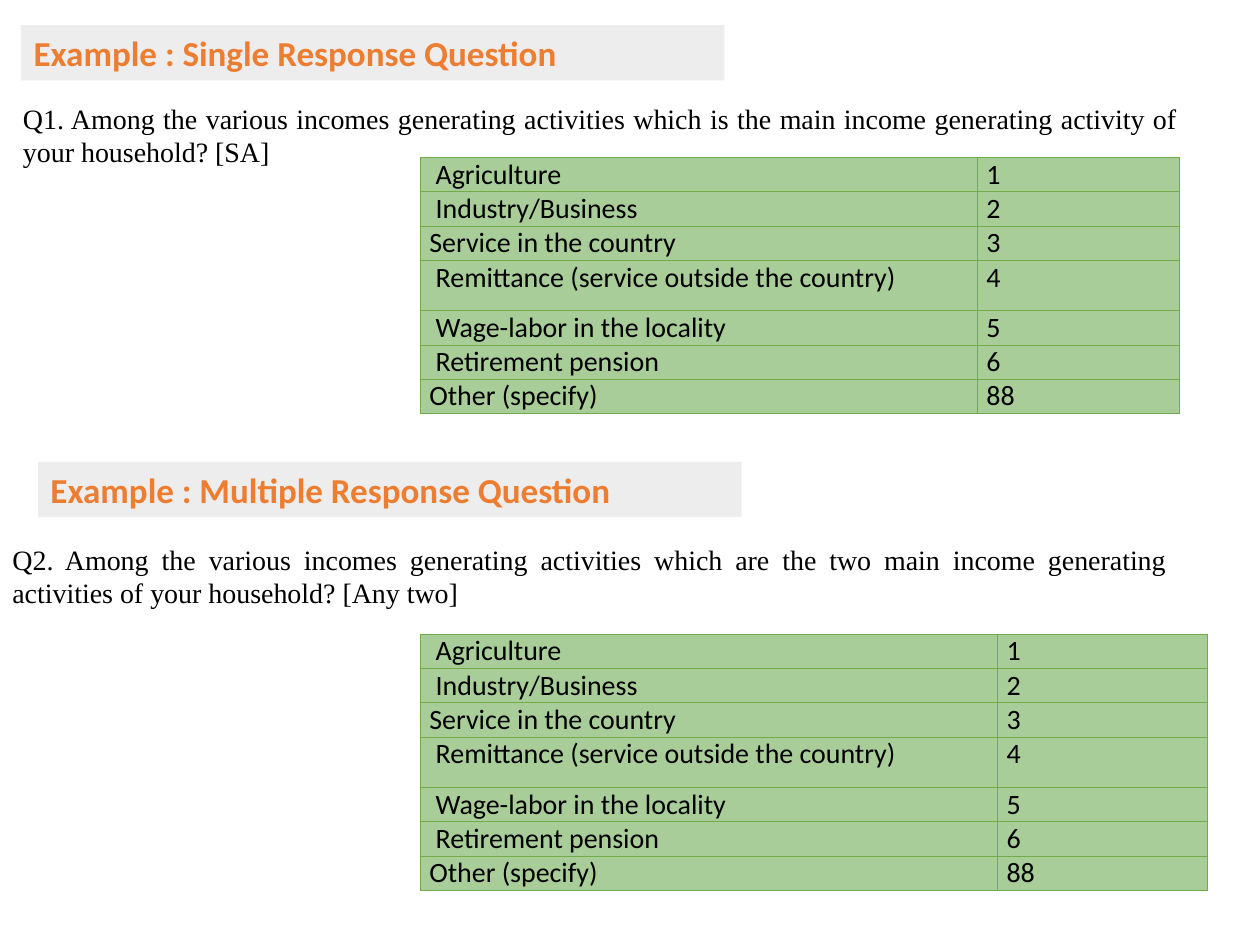
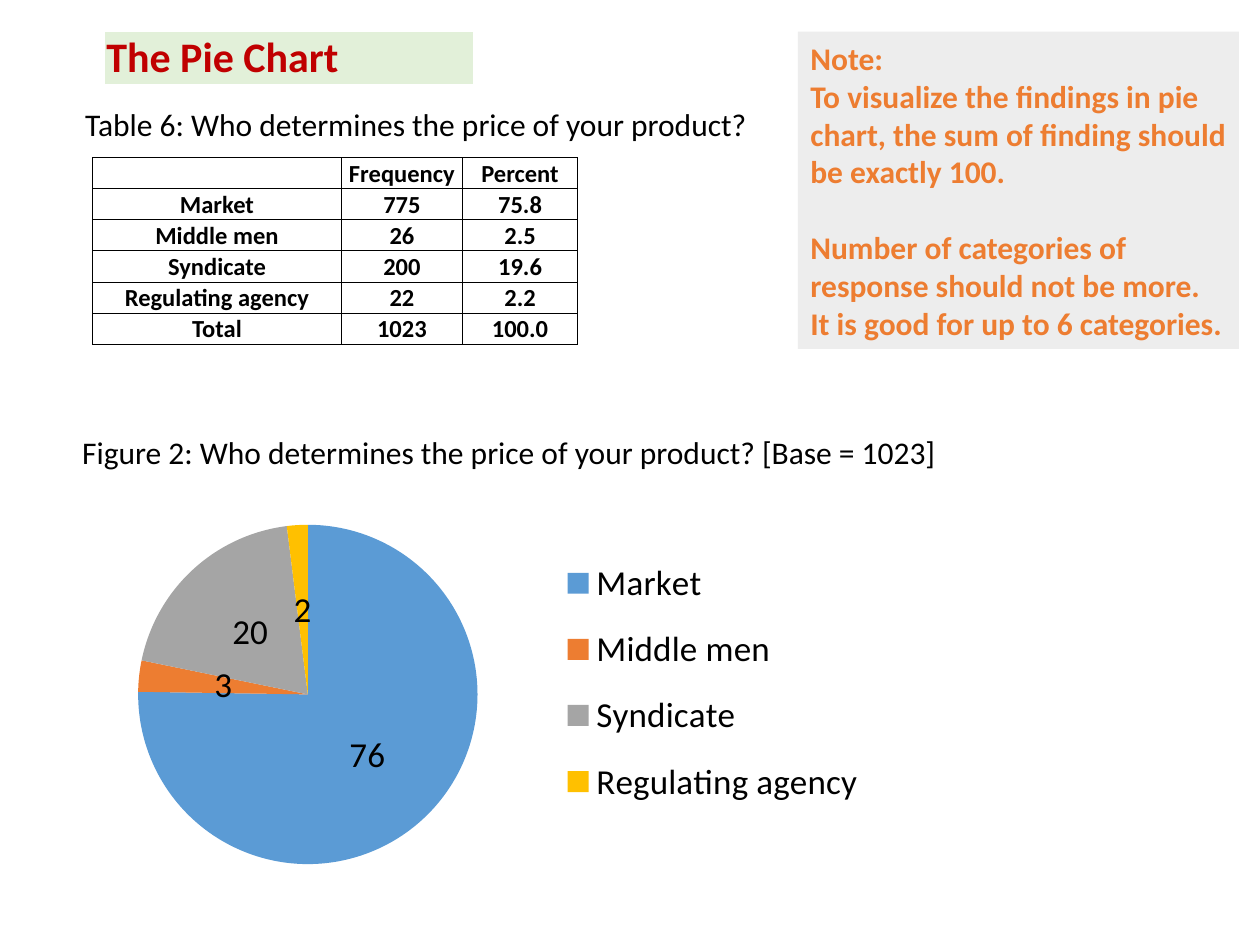
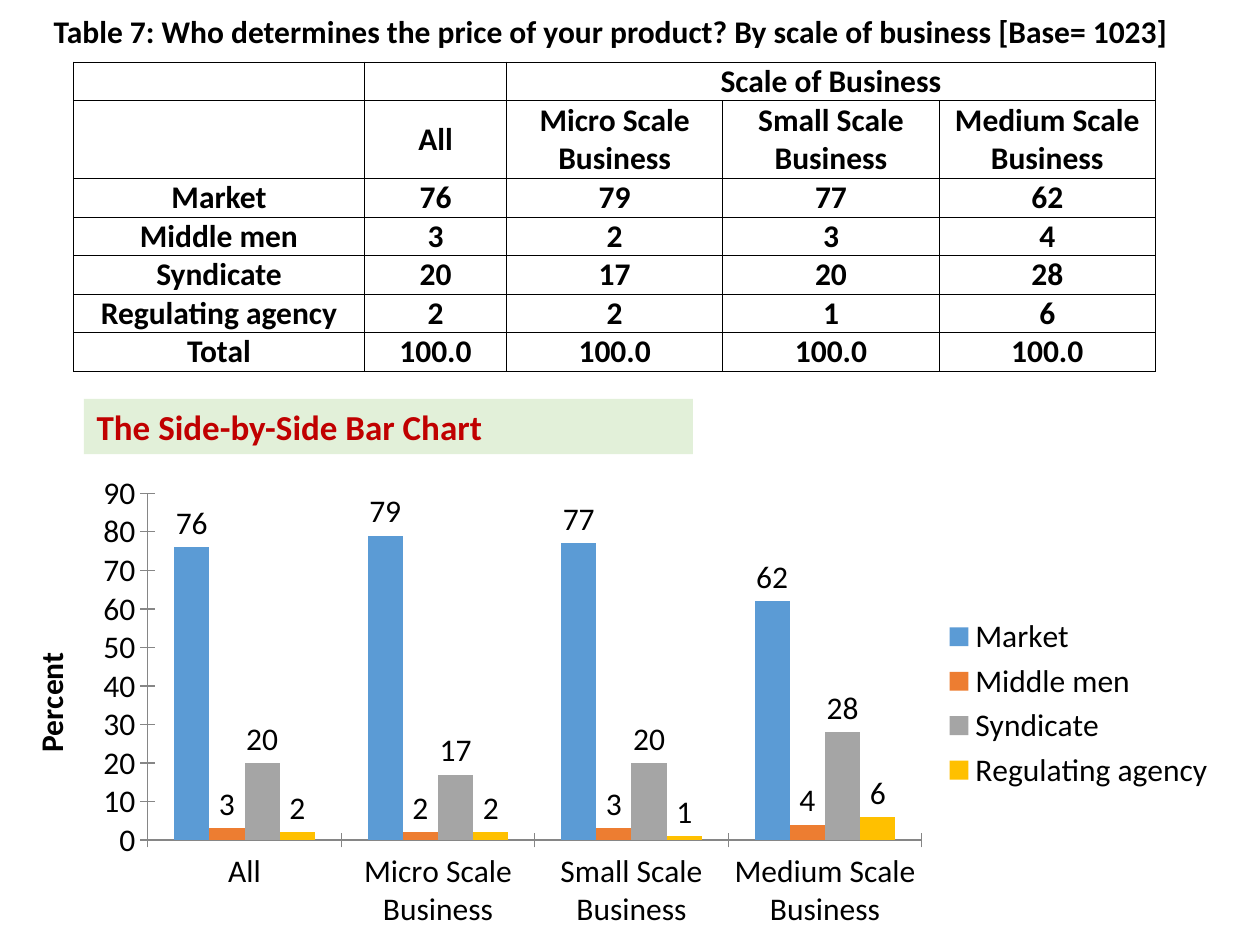
from pptx import Presentation
from pptx.chart.data import CategoryChartData
from pptx.dml.color import RGBColor
from pptx.enum.chart import XL_CHART_TYPE, XL_LABEL_POSITION, XL_LEGEND_POSITION, XL_TICK_MARK
from pptx.enum.text import MSO_ANCHOR, MSO_AUTO_SIZE, PP_ALIGN
from pptx.oxml import parse_xml
from pptx.oxml.ns import nsdecls
from pptx.util import Pt

LEFT, CENTER, JUSTIFY = PP_ALIGN.LEFT, PP_ALIGN.CENTER, PP_ALIGN.JUSTIFY
MIDDLE, TOP, BOTTOM = MSO_ANCHOR.MIDDLE, MSO_ANCHOR.TOP, MSO_ANCHOR.BOTTOM
NO_FIT = MSO_AUTO_SIZE.NONE
PIE, COLUMNS = XL_CHART_TYPE.PIE, XL_CHART_TYPE.COLUMN_CLUSTERED
LABEL_CENTER, LABEL_OUTSIDE = XL_LABEL_POSITION.CENTER, XL_LABEL_POSITION.OUTSIDE_END
LEGEND_RIGHT = XL_LEGEND_POSITION.RIGHT
TICK_CROSS = XL_TICK_MARK.CROSS

BLACK = RGBColor(0x00, 0x00, 0x00)
ORANGE = RGBColor(0xED, 0x7D, 0x31)
RED = RGBColor(0xC0, 0x00, 0x00)
GREY_BAND = RGBColor(0xED, 0xED, 0xED)
GREEN_BAND = RGBColor(0xE2, 0xF0, 0xD9)
GREEN_CELL = RGBColor(0xA9, 0xCD, 0x99)
GREEN_LINE = RGBColor(0x70, 0xAD, 0x47)
AXIS_GREY = RGBColor(0x86, 0x86, 0x86)
SERIES_COLORS = [RGBColor(0x5B, 0x9B, 0xD5), ORANGE,
                 RGBColor(0xA5, 0xA5, 0xA5), RGBColor(0xFF, 0xC0, 0x00)]
SANS, SERIF = "Calibri", "Times New Roman"
TITLE_ONLY, BLANK = 5, 6


def write_box(box, place, lines, size, color=BLACK, bold=False, font=SANS,
              align=LEFT, band=None, gap=0):
    box.left, box.top, box.width, box.height = [Pt(length) for length in place]
    frame = box.text_frame
    frame.word_wrap = True
    frame.auto_size = NO_FIT
    frame.vertical_anchor = MIDDLE
    frame.margin_left = frame.margin_right = Pt(7.2)
    frame.margin_top = frame.margin_bottom = Pt(3.6)
    if band is not None:
        box.fill.solid()
        box.fill.fore_color.rgb = band
    for index, line in enumerate(lines):
        para = frame.paragraphs[0] if index == 0 else frame.add_paragraph()
        para.alignment = align
        para.line_spacing = 1.0
        para.space_before = Pt(gap if index and index == len(lines) - 1 else 0)
        span = para.add_run()
        span.text = line
        span.font.name, span.font.size = font, Pt(size)
        span.font.bold, span.font.color.rgb = bold, color


def add_grid(page, place, widths, heights, rows, size, line=None, margins=(0.72, 0.72),
             color=BLACK, bold=False, align=CENTER, header_rows=0, anchor=BOTTOM,
             fill=None, indents=()):
    table = page.shapes.add_table(len(rows), len(widths), Pt(place[0]), Pt(place[1]),
                                  Pt(sum(widths)), Pt(place[2])).table
    table.first_row = table.horz_banding = False
    for column, width in zip(table.columns, widths):
        column.width = Pt(width)
    for row_index, texts in enumerate(rows):
        table.rows[row_index].height = Pt(heights[row_index])
        for column_index, text in enumerate(texts):
            cell = table.cell(row_index, column_index)
            indented = column_index == 0 and row_index in indents
            cell.margin_left = Pt(margins[0] + 3.6 if indented else margins[0])
            cell.margin_right = Pt(margins[0])
            cell.margin_top, cell.margin_bottom = Pt(margins[1]), Pt(0)
            cell.vertical_anchor = MIDDLE if row_index < header_rows else anchor
            properties = cell._tc.get_or_add_tcPr()
            stroke = "<a:noFill/>"
            if line is not None:
                stroke = f'<a:solidFill><a:srgbClr val="{line}"/></a:solidFill>'
            for side in "LRTB":
                properties.append(parse_xml(
                    f'<a:ln{side} {nsdecls("a")} w="6350">{stroke}</a:ln{side}>'))
            if fill is None:
                cell.fill.background()
            else:
                cell.fill.solid()
                cell.fill.fore_color.rgb = fill
            para = cell.text_frame.paragraphs[0]
            para.alignment = align
            if not text:
                para._p.append(parse_xml(
                    f'<a:endParaRPr {nsdecls("a")} sz="{size * 100}"/>'))
                continue
            span = para.add_run()
            span.text = text
            span.font.name, span.font.size = SANS, Pt(size)
            span.font.bold, span.font.color.rgb = bold, color
    return table


deck = Presentation()
deck.slide_width, deck.slide_height = Pt(720), Pt(540)
question_page, pie_page, bar_page = [
    deck.slides.add_slide(deck.slide_layouts[layout])
    for layout in (TITLE_ONLY, BLANK, TITLE_ONLY)]

answers = [("Agriculture", "1"), ("Industry/Business", "2"),
           ("Service in the country", "3"),
           ("Remittance (service outside the country)", "4"),
           ("Wage-labor in the locality", "5"), ("Retirement pension", "6"),
           ("Other (specify)", "88")]
answer_heights = [14.4] * 3 + [28.8] + [14.4] * 3
examples = [
    (question_page.shapes.title, (12, 14.4), "Example : Single Response Question",
     (6, 54), "Q1. Among the various incomes generating activities which is the main "
     "income generating activity of your household? [SA]", 90, (318.3, 115.8)),
    (question_page.shapes.add_textbox(0, 0, 0, 0), (21.8, 264),
     "Example : Multiple Response Question",
     (0, 306), "Q2. Among the various incomes generating activities which are the two main "
     "income generating activities of your household? [Any two]", 362.4, (329.8, 120.2)),
]
for heading, corner, title, question_corner, question, table_top, widths in examples:
    write_box(heading, (*corner, 402, 31.5), [title], 20, ORANGE, True, band=GREY_BAND)
    write_box(question_page.shapes.add_textbox(0, 0, 0, 0), (*question_corner, 674, 46),
              [question], 16, font=SERIF, align=JUSTIFY)
    add_grid(question_page, (240, table_top, 144), widths, answer_heights, answers, 16,
             GREEN_LINE, (5.4, 0), align=JUSTIFY, anchor=TOP, fill=GREEN_CELL,
             indents=(0, 1, 3, 4, 5))

write_box(bar_page.shapes.title, (48, 228, 348, 31.5), ["The Side-by-Side Bar Chart"], 20,
          RED, True, band=GREEN_BAND)
captions = [
    (pie_page, (60, 18, 29.5), 210, "The Pie Chart", 24, RED, True, LEFT, GREEN_BAND),
    (pie_page, (48, 60, 22.3), 546, "Table 6: Who determines the price of your product?",
     18, BLACK, False, LEFT, None),
    (pie_page, (6, 247.6, 22.3), 570,
     "Figure 2: Who determines the price of your product? [Base = 1023]",
     18, BLACK, False, CENTER, None),
    (bar_page, (30, 7.2, 22.3), 666, "Table 7: Who determines the price of your product? "
     "By scale of business [Base= 1023]", 18, BLACK, True, LEFT, None),
]
for page, place, width, caption, size, color, bold, align, band in captions:
    add_grid(page, place, [width], [15], [(caption,)], size, color=color, bold=bold,
             align=align, fill=band)
write_box(pie_page.shapes.add_textbox(0, 0, 0, 0), (456, 18, 252, 181.4), [
    "Note:",
    "To visualize the findings in pie chart, the sum of finding should be exactly 100.",
    "Number of categories of response should not be more. It is good for up to 6 categories.",
], 18, ORANGE, True, band=GREY_BAND, gap=21.6)

price_setters = ["Market", "Middle men", "Syndicate", "Regulating agency"]
scales = ["All", "Micro Scale Business", "Small Scale Business", "Medium Scale Business"]
percents = [(76, 79, 77, 62), (3, 2, 3, 4), (20, 17, 20, 28), (2, 2, 1, 6)]
frequencies = [("775", "75.8"), ("26", "2.5"), ("200", "19.6"), ("22", "2.2")]

frequency_rows = [("", "Frequency", "Percent")]
frequency_rows += [(name, *pair) for name, pair in zip(price_setters, frequencies)]
frequency_rows.append(("Total", "1023", "100.0"))
add_grid(pie_page, (53, 90, 105.1), (142, 69.4, 65.6), [15] * 6, frequency_rows, 14, BLACK,
         bold=True, header_rows=1)

scale_rows = [("", "", "Scale of Business", "", ""), ("", *scales)]
scale_rows += [(name, *map(str, values)) for name, values in zip(price_setters, percents)]
scale_rows.append(("Total", *["100.0"] * 4))
scale_table = add_grid(bar_page, (42, 35.4, 174.2), (166.3, 81.2, 123.6, 123.6, 123.6),
                       [15, 44.6, 18.7] + [15] * 4, scale_rows, 18, BLACK, (0, 0),
                       bold=True, header_rows=2)
scale_table.cell(0, 2).merge(scale_table.cell(0, 4))

pie_data = CategoryChartData(number_format="0")
pie_data.categories = price_setters
pie_data.add_series("Series 1", [values[0] for values in percents])
bar_data = CategoryChartData(number_format="0")
bar_data.categories = scales
for name, values in zip(price_setters, percents):
    bar_data.add_series(name, values)

charts = []
for page, kind, place, data, size, label_position in [
    (pie_page, PIE, (54, 282, 480, 216), pie_data, 20, LABEL_CENTER),
    (bar_page, COLUMNS, (12, 264, 690, 276), bar_data, 18, LABEL_OUTSIDE),
]:
    chart = page.shapes.add_chart(kind, *[Pt(length) for length in place], data).chart
    chart.has_title = False
    chart.font.name, chart.font.size = SANS, Pt(size)
    chart.font.color.rgb = BLACK
    chart.has_legend = True
    chart.legend.position = LEGEND_RIGHT
    chart.legend.include_in_layout = False
    plot = chart.plots[0]
    plot.vary_by_categories = kind == PIE
    for series in plot.series:
        labels = series.data_labels
        labels.show_value = True
        labels.number_format, labels.number_format_is_linked = "0", False
        labels.position = label_position
    charts.append(chart)
pie_chart, bar_chart = charts

slices = pie_chart.plots[0].series[0].points
for index, color in enumerate(SERIES_COLORS):
    for part in (slices[index], bar_chart.plots[0].series[index]):
        part.format.fill.solid()
        part.format.fill.fore_color.rgb = color

bar_chart.plots[0].gap_width = 150
bar_chart.plots[0].overlap = 0
for axis in (bar_chart.category_axis, bar_chart.value_axis):
    axis.has_major_gridlines = False
    axis.major_tick_mark = TICK_CROSS
    axis.format.line.color.rgb = AXIS_GREY
    axis.format.line.width = Pt(0.75)
value_axis = bar_chart.value_axis
value_axis.tick_labels.number_format = "0"
value_axis.tick_labels.number_format_is_linked = False
value_axis.minimum_scale, value_axis.maximum_scale, value_axis.major_unit = 0, 90, 10
span = value_axis.axis_title.text_frame.paragraphs[0].add_run()
span.text = "Percent"
span.font.name, span.font.size = SANS, Pt(18)
span.font.bold, span.font.color.rgb = True, BLACK

for chart, part, position, target, percent_area in [
    (pie_chart, "plotArea", 0, "inner", (5.2, 8.3, 40.4, 89.8)),
    (pie_chart, "legend", 1, None, (53.6, 12, 40, 76)),
    (bar_chart, "plotArea", 0, "inner", (10.5, 6.5, 64.1, 71.8)),
    (bar_chart, "title", 1, None, (0.2, 38.2)),
]:
    parent = chart.element.xpath(f".//c:{part}")[0]
    for old_layout in parent.xpath("./c:layout"):
        parent.remove(old_layout)
    settings = [("layoutTarget", target)] if target else []
    settings += [("xMode", "edge"), ("yMode", "edge")]
    settings += [(tag, percent / 100) for tag, percent in zip("xywh", percent_area)]
    items = "".join(f'<c:{tag} val="{value}"/>' for tag, value in settings)
    parent.insert(position, parse_xml(
        f'<c:layout {nsdecls("c")}><c:manualLayout>{items}</c:manualLayout></c:layout>'))

deck.save("out.pptx")
